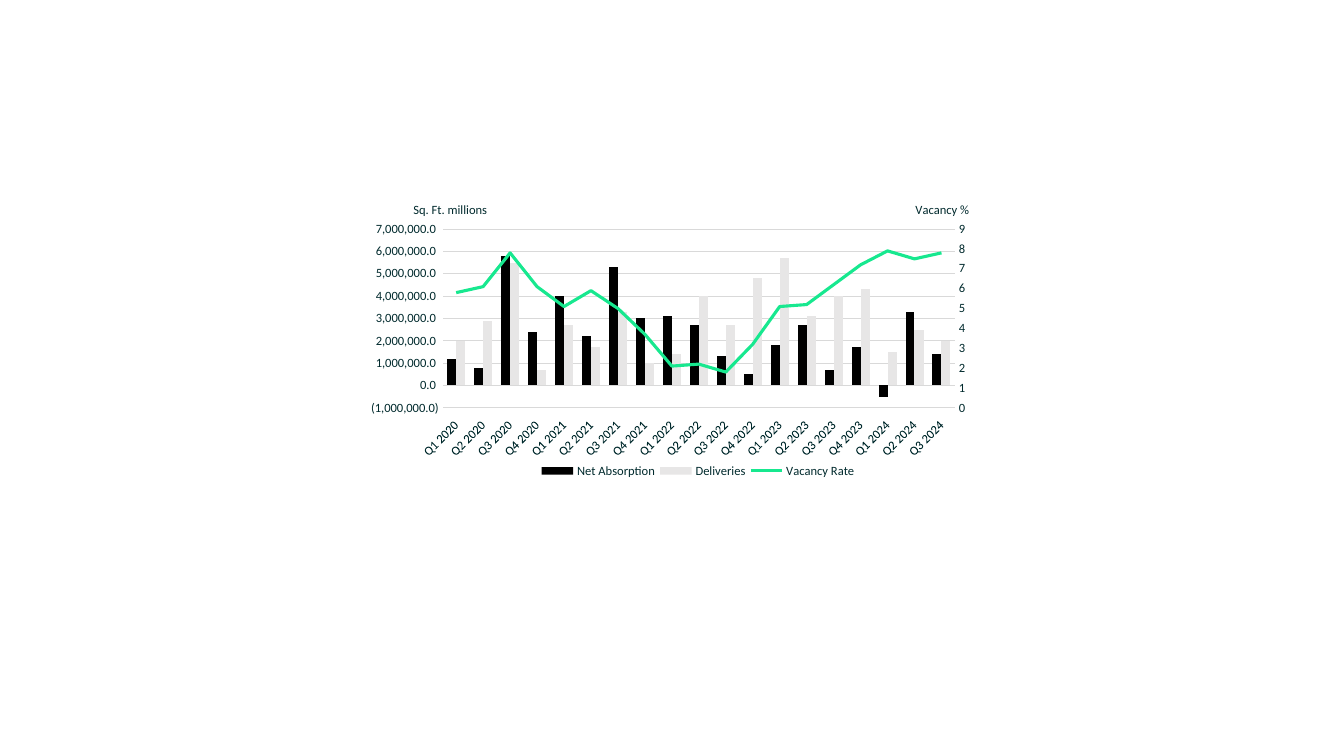
from copy import deepcopy
from dataclasses import dataclass

from lxml import etree
from pptx import Presentation
from pptx.chart.axis import ValueAxis
from pptx.chart.data import CategoryChartData
from pptx.dml.color import RGBColor
from pptx.enum.chart import XL_CHART_TYPE, XL_LEGEND_POSITION, XL_TICK_LABEL_POSITION, XL_TICK_MARK
from pptx.oxml.ns import qn
from pptx.util import Pt

PX = 914400 / 100.8
COLUMNS = XL_CHART_TYPE.COLUMN_CLUSTERED
LEGEND_BOTTOM = XL_LEGEND_POSITION.BOTTOM
LABELS_LOW = XL_TICK_LABEL_POSITION.LOW
NO_TICK = XL_TICK_MARK.NONE
SLANTED = "-2700000"
RIGHT_CATEGORY_ID, RIGHT_VALUE_ID = "50010", "50020"

QUARTERS = [f"Q{n % 4 + 1} {2020 + n // 4}" for n in range(19)]
NET_ABSORPTION = [1200000, 800000, 5800000, 2400000, 4000000, 2200000, 5300000,
                  3000000, 3100000, 2700000, 1300000, 500000, 1800000, 2700000,
                  700000, 1700000, -500000, 3300000, 1400000]
DELIVERIES = [2000000, 2900000, 5500000, 700000, 2700000, 1700000, 3300000,
              1000000, 1400000, 4000000, 2700000, 4800000, 5700000, 3100000,
              4000000, 4300000, 1500000, 2500000, 2000000]
VACANCY_RATE = [5.8, 6.1, 7.8, 6.1, 5.1, 5.9, 5, 3.7, 2.1, 2.2, 1.8, 3.2, 5.1,
                5.2, 6.2, 7.2, 7.9, 7.5, 7.8]


@dataclass(frozen=True)
class Theme:
    font: str = "Calibri"
    size: float = 9
    text: str = "012A2D"
    grid: str = "D9D9D9"
    absorption: str = "000000"
    deliveries: str = "E7E6E6"
    vacancy: str = "17E88F"


def px(length):
    return round(length * PX)


def format_font(font, name, size, color):
    font.name, font.size, font.bold = name, Pt(size), False
    font.color.rgb = RGBColor.from_string(color)


def write_text(text_frame, text, **style):
    text_frame.text = text
    format_font(text_frame.paragraphs[0].runs[0].font, **style)


def format_line(line, color, width):
    line.color.rgb = RGBColor.from_string(color)
    line.width = Pt(width)


def add_value(parent, tag, value):
    child = etree.SubElement(parent, qn(tag))
    child.set("val", value)
    return child


def remove_children(parent, tag):
    for child in parent.findall(qn(tag)):
        parent.remove(child)


def set_layout(parent, index, inner=False, **fractions):
    """Place a chart part by fractions of the chart's width and height."""
    remove_children(parent, "c:layout")
    layout = etree.Element(qn("c:layout"))
    manual = etree.SubElement(layout, qn("c:manualLayout"))
    if inner:
        add_value(manual, "c:layoutTarget", "inner")
    for mode in ("xMode", "yMode"):
        add_value(manual, f"c:{mode}", "edge")
    for name, fraction in fractions.items():
        add_value(manual, f"c:{name}", str(fraction))
    parent.insert(index, layout)


def set_ids(axis_element, own_id, crossing_id):
    axis_element.find(qn("c:axId")).set("val", own_id)
    axis_element.find(qn("c:crossAx")).set("val", crossing_id)


class SlideBuilder:
    def __init__(self, slide, theme):
        self.slide = slide
        self.theme = theme
        self.text_style = dict(name=theme.font, size=theme.size, color=theme.text)

    def add_combined_chart(self, left, top, width, height):
        data = CategoryChartData()
        data.categories = QUARTERS
        data.add_series("Net Absorption", NET_ABSORPTION)
        data.add_series("Deliveries", DELIVERIES)
        data.add_series("Vacancy Rate", VACANCY_RATE)
        frame = self.slide.shapes.add_chart(
            COLUMNS, px(left), px(top), px(width), px(height), data)
        chart = frame.chart
        chart.has_title = False
        format_font(chart.font, **self.text_style)
        self.style_category_axis(chart.category_axis)
        axis = chart.value_axis
        axis.has_major_gridlines = True
        format_line(axis.major_gridlines.format.line, self.theme.grid, 0.75)
        self.style_value_axis(axis, "Sq. Ft. millions", (-1000000, 7000000, 1000000),
                              "#,##0.0_);\\(#,##0.0\\)", x=0.06, y=0.01)
        self.move_vacancy_to_right_axis(chart)
        self.style_series(chart)
        self.add_legend(chart)
        set_layout(axis._element.getparent(), 0, inner=True,
                   x=0.113, y=0.115, w=0.857, h=0.621)

    def style_category_axis(self, axis):
        axis.major_tick_mark = axis.minor_tick_mark = NO_TICK
        axis.tick_label_position = LABELS_LOW
        axis.has_major_gridlines = False
        format_line(axis.format.line, self.theme.grid, 0.75)
        format_font(axis.tick_labels.font, **self.text_style)
        axis._element.find(qn("c:txPr")).find(qn("a:bodyPr")).set("rot", SLANTED)

    def style_value_axis(self, axis, title, scale, number_format, **position):
        axis.minimum_scale, axis.maximum_scale, axis.major_unit = scale
        axis.major_tick_mark = axis.minor_tick_mark = NO_TICK
        axis.format.line.fill.background()
        axis.tick_labels.number_format = number_format
        axis.tick_labels.number_format_is_linked = False
        format_font(axis.tick_labels.font, **self.text_style)
        text_frame = axis.axis_title.text_frame
        write_text(text_frame, title, **self.text_style)
        body = text_frame._txBody.find(qn("a:bodyPr"))
        body.set("rot", "0")
        body.set("vert", "horz")
        set_layout(axis.axis_title._element, 1, **position)

    def move_vacancy_to_right_axis(self, chart):
        columns = chart.plots[0]._element
        series = columns.findall(qn("c:ser"))[-1]
        remove_children(series, "c:invertIfNegative")
        lines = etree.Element(qn("c:lineChart"))
        # Elements made by the library's own parser keep their classes.
        lines = columns.makeelement(qn("c:lineChart"))
        add_value(lines, "c:grouping", "standard")
        add_value(lines, "c:varyColors", "0")
        lines.append(series)
        add_value(lines, "c:marker", "1")
        add_value(lines, "c:axId", RIGHT_CATEGORY_ID)
        add_value(lines, "c:axId", RIGHT_VALUE_ID)
        columns.addnext(lines)

        left_axis = chart.value_axis._element
        right_axis = deepcopy(left_axis)
        right_categories = deepcopy(chart.category_axis._element)
        left_axis.addnext(right_axis)
        right_axis.addnext(right_categories)
        set_ids(right_axis, RIGHT_VALUE_ID, RIGHT_CATEGORY_ID)
        set_ids(right_categories, RIGHT_CATEGORY_ID, RIGHT_VALUE_ID)
        right_categories.find(qn("c:delete")).set("val", "1")
        right_axis.find(qn("c:axPos")).set("val", "r")
        right_axis.find(qn("c:crosses")).set("val", "max")
        axis = ValueAxis(right_axis)
        axis.has_major_gridlines = False
        self.style_value_axis(axis, "Vacancy %", (0, 9, 1), "#,##0", x=0.9, y=0.01)

    def style_series(self, chart):
        columns, lines = chart.plots
        columns.gap_width, columns.overlap = 100, 0
        columns.vary_by_categories = False
        colors = (self.theme.absorption, self.theme.deliveries)
        for series, color in zip(columns.series, colors):
            series.invert_if_negative = False
            series.format.fill.solid()
            series.format.fill.fore_color.rgb = RGBColor.from_string(color)
        vacancy = lines.series[0]
        vacancy.smooth = False
        format_line(vacancy.format.line, self.theme.vacancy, 2.25)
        marker = etree.Element(qn("c:marker"))
        add_value(marker, "c:symbol", "none")
        vacancy._element.find(qn("c:spPr")).addnext(marker)

    def add_legend(self, chart):
        chart.has_legend = True
        chart.legend.position = LEGEND_BOTTOM
        chart.legend.include_in_layout = False
        format_font(chart.legend.font, **self.text_style)
        set_layout(chart.legend._element, 1, x=0.27, y=0.92, w=0.54, h=0.07)


def main():
    presentation = Presentation()
    presentation.slide_width, presentation.slide_height = px(1344), px(756)
    slide = presentation.slides.add_slide(presentation.slide_layouts[6])
    SlideBuilder(slide, Theme()).add_combined_chart(371, 196, 602, 288)
    presentation.save("out.pptx")


if __name__ == "__main__":
    main()
